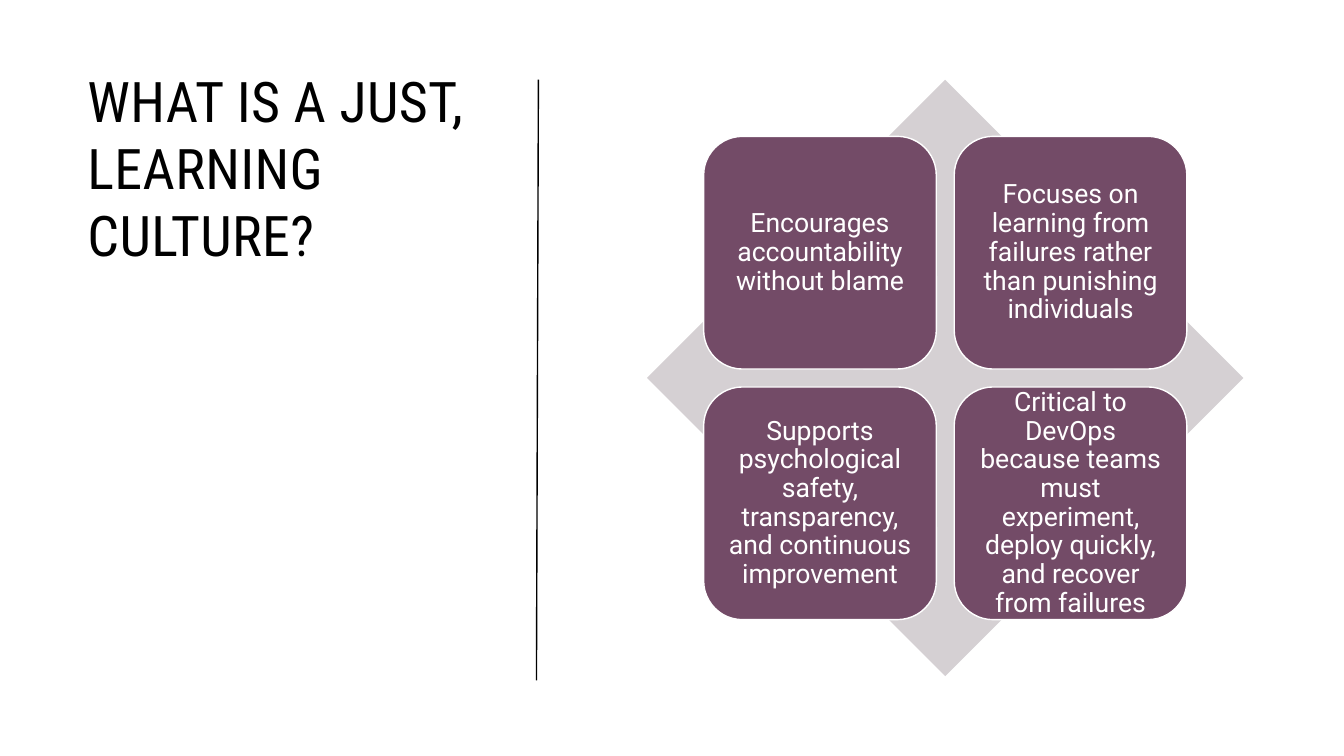
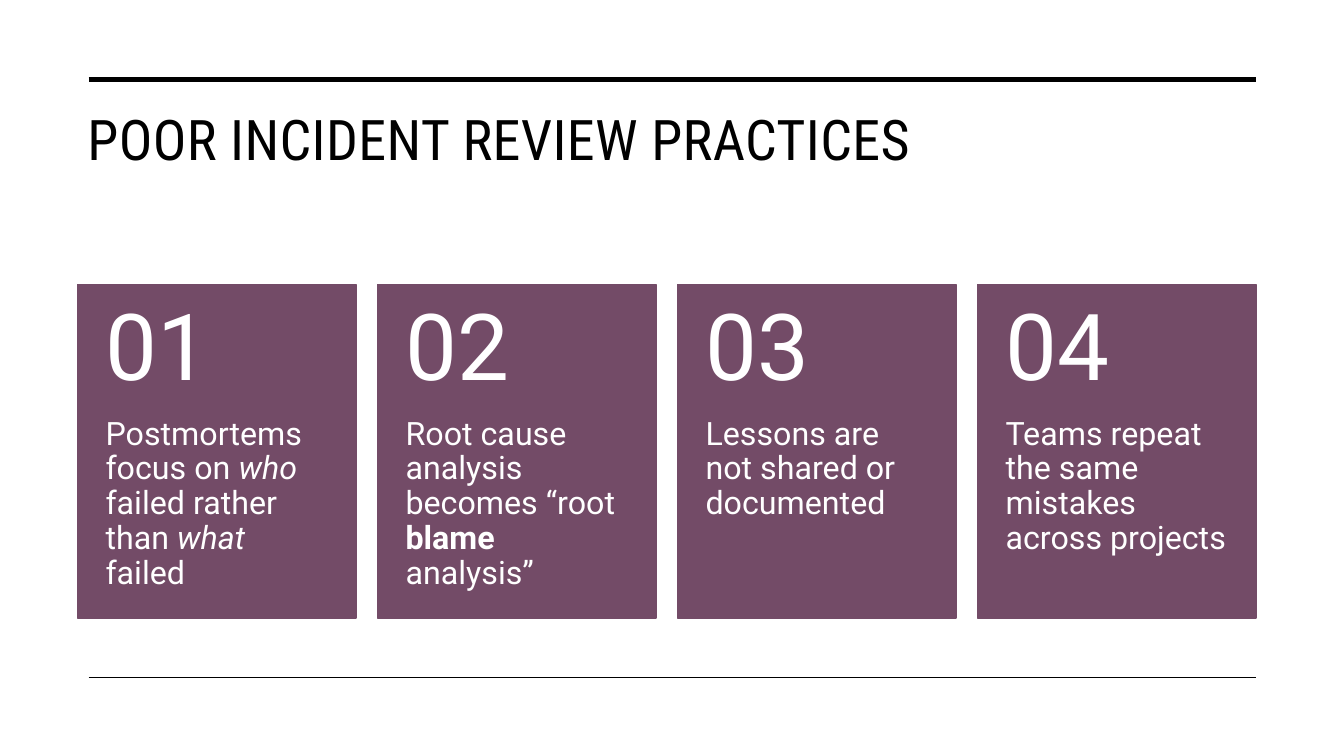
"""Build two slides on just culture and poor incident reviews."""
from dataclasses import dataclass, field

from lxml import etree
from pptx import Presentation
from pptx.dml.color import RGBColor
from pptx.enum.shapes import MSO_CONNECTOR, MSO_SHAPE
from pptx.enum.text import MSO_ANCHOR, PP_ALIGN
from pptx.oxml.ns import qn
from pptx.util import Pt

DIAMOND, ROUND, RECT = MSO_SHAPE.DIAMOND, MSO_SHAPE.ROUNDED_RECTANGLE, MSO_SHAPE.RECTANGLE
STRAIGHT = MSO_CONNECTOR.STRAIGHT
TOP, MIDDLE = MSO_ANCHOR.TOP, MSO_ANCHOR.MIDDLE
LEFT, CENTER = PP_ALIGN.LEFT, PP_ALIGN.CENTER

COLORS = {"ink": "000000", "plum": "734B67", "mist": "D5D0D3", "white": "FFFFFF"}
BODY_FONT, TITLE_FONT = "Roboto", "Roboto Condensed"
MARGIN, RULE_LEFT, RULE_RIGHT = 55.4, 63.4, 897.2
RULE_TOP, RULE_BOTTOM = 56.9, 483.8


@dataclass(frozen=True)
class Box:
    left: float
    top: float
    width: float
    height: float

    def emu(self):
        return [Pt(v) for v in (self.left, self.top, self.width, self.height)]


@dataclass(frozen=True)
class Run:
    text: str
    style: dict = field(default_factory=dict)


@dataclass(frozen=True)
class TextStyle:
    size: float
    font: str = BODY_FONT
    color: str = "white"
    align: PP_ALIGN = LEFT
    anchor: MSO_ANCHOR = TOP
    insets: tuple = (7.2, 3.6, 7.2, 3.6)
    line_spacing: float = 0.9
    tracking: int = 0


@dataclass(frozen=True)
class Card:
    number: str
    runs: tuple


TITLE = TextStyle(40, TITLE_FONT, "ink", line_spacing=1.0, tracking=30)
TILE = TextStyle(19, align=CENTER, anchor=MIDDLE, insets=(5.8,) * 4)
NUMBER = TextStyle(66, anchor=MIDDLE, insets=(20, 13, 20, 13))
CARD_TEXT = TextStyle(23, insets=(20, 95, 20, 26))
ITALIC, BOLD = {"italic": True}, {"bold": True}

TILES = (
    "Encourages accountability without blame",
    "Focuses on learning from failures rather than punishing individuals",
    "Supports psychological safety, transparency, and continuous improvement",
    "Critical to DevOps because teams must experiment, deploy quickly, and recover from failures",
)
CARDS = (
    Card("01", (Run("Postmortems focus on "), Run("who", ITALIC), Run(" failed rather than "),
                Run("what", ITALIC), Run(" failed"))),
    Card("02", (Run("Root cause analysis becomes “root "), Run("blame", BOLD), Run(" analysis”"))),
    Card("03", (Run("Lessons are not shared or documented"),)),
    Card("04", (Run("Teams repeat the same mistakes across projects"),)),
)


def rgb(name: str) -> RGBColor:
    return RGBColor.from_string(COLORS[name])


def set_all(target, values: dict) -> None:
    for name, value in values.items():
        setattr(target, name, value)


def write(sp, runs: tuple, style: TextStyle) -> None:
    tf = sp.text_frame
    sides = ("margin_left", "margin_top", "margin_right", "margin_bottom")
    set_all(tf, {"word_wrap": True, "vertical_anchor": style.anchor,
                 **{side: Pt(v) for side, v in zip(sides, style.insets)}})
    p = tf.paragraphs[0]
    set_all(p, {"alignment": style.align, "line_spacing": style.line_spacing})
    for run in runs:
        r = p.add_run()
        r.text = run.text
        set_all(r.font, {"name": style.font, "size": Pt(style.size), **run.style})
        r.font.color.rgb = rgb(style.color)
        if style.tracking:
            r.font._element.set("spc", str(style.tracking))


def add_text(s, box: Box, text: str, style: TextStyle) -> None:
    write(s.shapes.add_textbox(*box.emu()), (Run(text),), style)


def add_block(s, kind: MSO_SHAPE, box: Box, fill: str, line: str | None = None):
    sp = s.shapes.add_shape(kind, *box.emu())
    sp.shadow.inherit = False
    sp.fill.solid()
    sp.fill.fore_color.rgb = rgb(fill)
    if line:
        sp.line.color.rgb = rgb(line)
        sp.line.width = Pt(1)
    else:
        sp.line.fill.background()
    return sp


def add_rule(s, x1: float, y1: float, x2: float, y2: float, width: float = 1) -> None:
    rule = s.shapes.add_connector(STRAIGHT, Pt(x1), Pt(y1), Pt(x2), Pt(y2))
    rule.line.color.rgb = rgb("ink")
    rule.line.width = Pt(width)
    etree.SubElement(rule._element.spPr, qn("a:effectLst"))


def build_culture(s) -> None:
    add_text(s, Box(MARGIN, 44, 285, 359), "WHAT IS A JUST, LEARNING CULTURE?", TITLE)
    add_rule(s, 383.2, 486, 384.6, RULE_TOP)
    center_x, center_y, diamond, tile, gap = 675.2, 270, 426, 166.2, 12.8
    add_block(s, DIAMOND, Box(center_x - diamond / 2, center_y - diamond / 2, diamond, diamond), "mist")
    half = tile + gap / 2
    for i, text in enumerate(TILES):
        row, col = divmod(i, 2)
        box = Box(center_x - half + col * (tile + gap), center_y - half + row * (tile + gap), tile, tile)
        write(add_block(s, ROUND, box, "plum", "white"), (Run(text),), TILE)


def build_practices(s) -> None:
    add_text(s, Box(MARGIN, 71.3, 841.8, 90.7), "POOR INCIDENT REVIEW PRACTICES", TITLE)
    for y, width in ((RULE_TOP, 3.5), (RULE_BOTTOM, 1)):
        add_rule(s, RULE_LEFT, y, RULE_RIGHT, y, width)
    top, width, height, gap = 203.2, 198.8, 238.4, 15.5
    for i, card in enumerate(CARDS):
        left = MARGIN + i * (width + gap)
        write(add_block(s, RECT, Box(left, top, width, height), "plum", "plum"), card.runs, CARD_TEXT)
        add_text(s, Box(left, top, width, 95), card.number, NUMBER)


def main() -> None:
    prs = Presentation()
    set_all(prs, {"slide_width": Pt(960), "slide_height": Pt(540)})
    for build in (build_culture, build_practices):
        build(prs.slides.add_slide(prs.slide_layouts[6]))
    prs.save("out.pptx")


if __name__ == "__main__":
    main()
